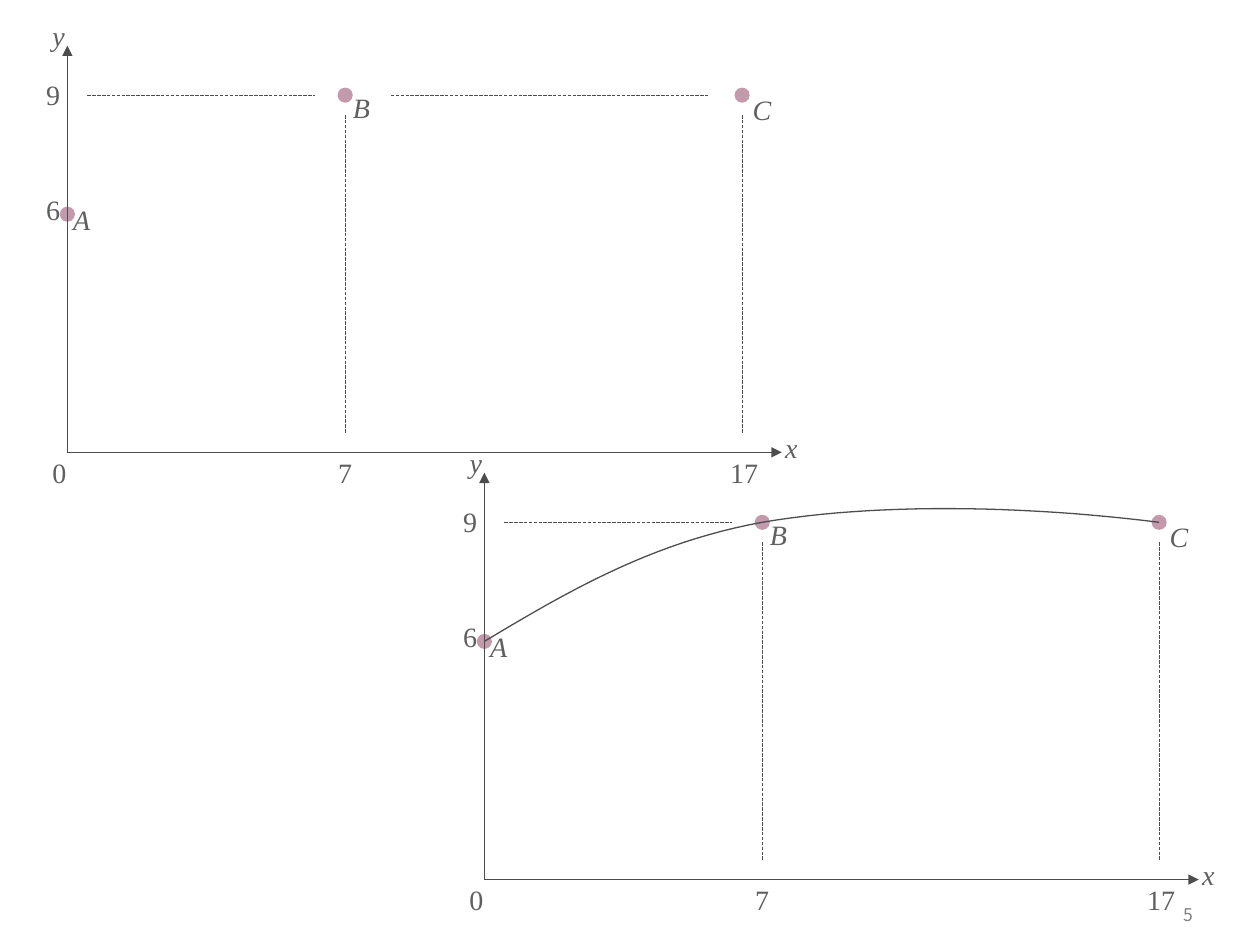
from dataclasses import dataclass
from typing import Any

from lxml import etree
from pptx import Presentation
from pptx import util as u
from pptx.dml.color import RGBColor
from pptx.enum import dml, shapes, text
from pptx.oxml import ns

PLUM = RGBColor(0x6B, 0x01, 0x31)
INK = RGBColor(0x4D, 0x4D, 0x4D)
LABEL_GRAY = RGBColor(0x5F, 0x5F, 0x5F)
NUMBER_GRAY = RGBColor(0x80, 0x80, 0x80)
UNIT = 22.68
DOT = 8.64


@dataclass(frozen=True)
class Label:
    text: str
    x: float
    y: float
    w: float = 17.28
    h: float = 17.28


@dataclass(frozen=True)
class Segment:
    x1: float
    y1: float
    x2: float
    y2: float


@dataclass(frozen=True)
class Graph:
    left: float
    base: float
    guides: tuple[Segment, ...]
    curve: bool = False

    def at(self, x: float, y: float) -> tuple[float, float]:
        return self.left + x * UNIT, self.base - y * UNIT


LABELS = (
    Label("y", -0.22, 10.51, 13.68, 11.52),
    Label("6", -0.36, 6.13),
    Label("9", -0.36, 9.02),
    Label("A", 0.36, 5.87),
    Label("B", 7.41, 8.7, 11.52),
    Label("C", 17.5, 8.64, 11.52),
    Label("x", 18.24, 0.14, 11.52, 28.08),
    Label("0", -0.2, -0.5, 17.28, 22.32),
    Label("7", 7, -0.5, 33.84, 22.32),
    Label("17", 17.05, -0.5, 28.08, 22.32),
)
DOTS = ((0, 6), (7, 9), (17, 9))
AXES = (Segment(0, 0, 18, 0), Segment(0, 0, 0, 10.25))
GUIDES = (
    Segment(7, 8.5, 7, 0.5),
    Segment(17, 8.5, 17, 0.5),
    Segment(0.5, 9, 6.25, 9),
)
BEZIERS = (
    ((0, 6), (2.08, 7.24), (4.17, 8.48), (7, 9)),
    ((7, 9), (9.86, 9.49), (13.57, 9.43), (17, 9)),
)
STEPS = 24
GRAPHS = (
    Graph(276.8, 502.6, GUIDES, curve=True),
    Graph(38.5, 258.5, GUIDES + (Segment(8.15, 9, 16.15, 9),)),
)


def add_text(parent: Any, content: str, x: float, y: float, w: float, h: float, *,
             size: float = 16, font: str = "Times New Roman",
             color: RGBColor = LABEL_GRAY, italic: bool = False,
             align: Any = text.PP_ALIGN.CENTER,
             inset_x: float = 0, inset_y: float = 0) -> None:
    sp = parent.add_textbox(u.Pt(x), u.Pt(y), u.Pt(w), u.Pt(h))
    tf = sp.text_frame
    tf.word_wrap = True
    tf.vertical_anchor = text.MSO_ANCHOR.MIDDLE
    tf.margin_left = tf.margin_right = u.Pt(inset_x)
    tf.margin_top = tf.margin_bottom = u.Pt(inset_y)
    p = tf.paragraphs[0]
    p.alignment = align
    r = p.add_run()
    r.text = content
    r.font.size = u.Pt(size)
    r.font.name = font
    r.font.italic = italic
    r.font.color.rgb = color


def add_line(parent: Any, graph: Graph, seg: Segment, *,
             dashed: bool = False, arrow: bool = False) -> None:
    ends = graph.at(seg.x1, seg.y1) + graph.at(seg.x2, seg.y2)
    line = parent.add_connector(shapes.MSO_CONNECTOR.STRAIGHT, *map(u.Pt, ends))
    line.line.color.rgb = INK
    line.line.width = u.Pt(0.25)
    if dashed:
        line.line.dash_style = dml.MSO_LINE.LONG_DASH
    if arrow:
        etree.SubElement(line.line._get_or_add_ln(), ns.qn("a:tailEnd"), type="triangle")
    etree.SubElement(line._element.spPr, ns.qn("a:effectLst"))


def add_dot(parent: Any, graph: Graph, x: float, y: float) -> None:
    cx, cy = graph.at(x, y)
    sp = parent.add_shape(shapes.MSO_SHAPE.OVAL, u.Pt(cx - DOT / 2), u.Pt(cy - DOT / 2),
                          u.Pt(DOT), u.Pt(DOT))
    sp.shadow.inherit = False
    sp.line.fill.background()
    sp.fill.solid()
    sp.fill.fore_color.rgb = PLUM
    clr = sp._element.spPr.find(f".//{ns.qn('a:srgbClr')}")
    etree.SubElement(clr, ns.qn("a:alpha"), val="40000")


def bezier(points: tuple, t: float) -> tuple[float, float]:
    s = 1 - t
    weights = (s ** 3, 3 * s * s * t, 3 * s * t * t, t ** 3)
    return (sum(k * x for k, (x, _) in zip(weights, points)),
            sum(k * y for k, (_, y) in zip(weights, points)))


def add_curve(parent: Any, graph: Graph) -> None:
    track = [BEZIERS[0][0]]
    track += [bezier(b, i / STEPS) for b in BEZIERS for i in range(1, STEPS + 1)]
    pts = [tuple(map(u.Pt, graph.at(x, y))) for x, y in track]
    builder = parent.build_freeform(*pts[0])
    builder.add_line_segments(pts[1:], close=False)
    sp = builder.convert_to_shape()
    sp.shadow.inherit = False
    sp.fill.background()
    sp.line.color.rgb = INK
    sp.line.width = u.Pt(0.75)


def add_graph(s: Any, graph: Graph) -> None:
    parent = s.shapes.add_group_shape().shapes
    for x, y in DOTS:
        add_dot(parent, graph, x, y)
    for seg in AXES:
        add_line(parent, graph, seg, arrow=True)
    for seg in graph.guides:
        add_line(parent, graph, seg, dashed=True)
    for label in LABELS:
        cx, cy = graph.at(label.x, label.y)
        add_text(parent, label.text, cx - label.w / 2, cy - label.h / 2,
                 label.w, label.h, italic=label.text.isalpha())
    if graph.curve:
        add_curve(parent, graph)


prs = Presentation()
prs.slide_width, prs.slide_height = u.Pt(720), u.Pt(540)
s = prs.slides.add_slide(prs.slide_layouts[6])
add_text(s.shapes, "5", 637.9, 510.5, 51.1, 23.8, size=10, font="Noto Sans CJK KR",
         color=NUMBER_GRAY, align=text.PP_ALIGN.RIGHT, inset_x=7.2, inset_y=3.6)
for graph in GRAPHS:
    add_graph(s, graph)
prs.save("out.pptx")
